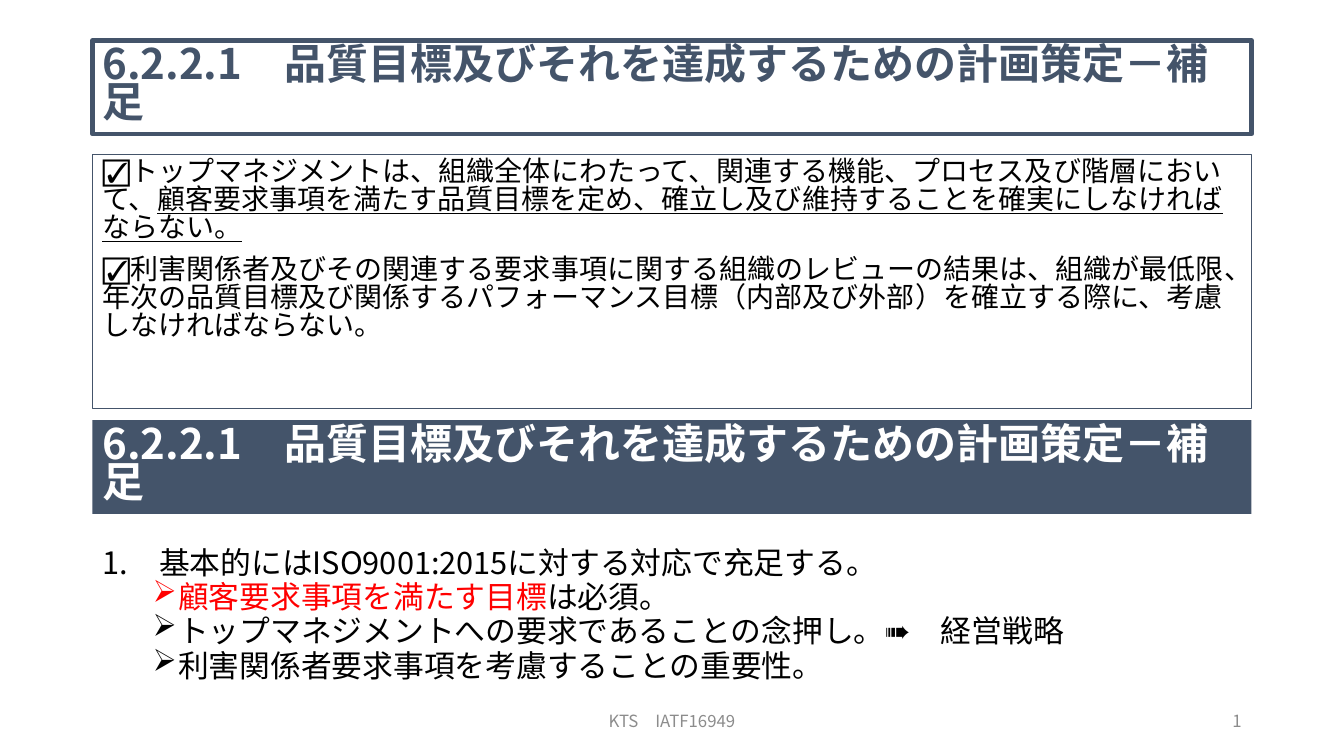
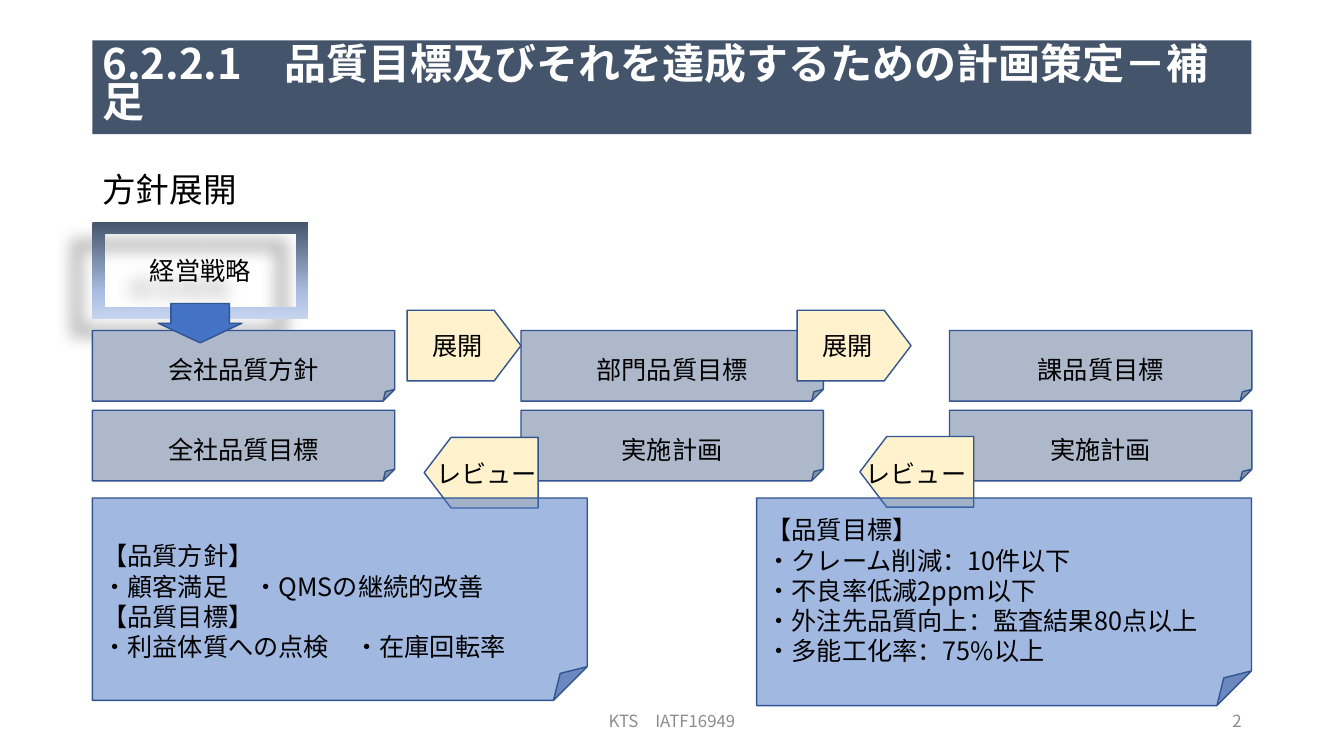
from dataclasses import dataclass
from typing import Any, NamedTuple, Optional

import lxml.etree
import pptx
import pptx.dml.color
import pptx.enum.shapes
import pptx.enum.text
import pptx.oxml.ns
import pptx.util

Cm = pptx.util.Cm
Pt = pptx.util.Pt
RGB = pptx.dml.color.RGBColor
Shape = pptx.enum.shapes.MSO_SHAPE
Align = pptx.enum.text.PP_ALIGN
Anchor = pptx.enum.text.MSO_ANCHOR
qn = pptx.oxml.ns.qn

FONT = "Noto Sans CJK JP"
BLACK = RGB(0x00, 0x00, 0x00)
WHITE = RGB(0xFF, 0xFF, 0xFF)
GREY = RGB(0x8C, 0x8C, 0x8C)
RED = RGB(0xFF, 0x00, 0x00)
SLATE = RGB(0x44, 0x54, 0x6A)
MIST = RGB(0xAD, 0xB9, 0xCA)
CREAM = RGB(0xFF, 0xF2, 0xCC)
BLUE = RGB(0x44, 0x72, 0xC4)
NAVY = RGB(0x32, 0x54, 0x91)
FADE = ((0, RGB(0xF6, 0xF8, 0xFC)), (0, SLATE),
        (74, RGB(0xAB, 0xC0, 0xE4)), (100, RGB(0xC7, 0xD5, 0xED)))

LEFT, WIDE = 2.33, 29.21
TITLE = "6.2.2.1\u3000品質目標及びそれを達成するための計画策定－補足".replace("\u3000", "　")
FOOTER = "KTS　IATF16949"


class Box(NamedTuple):
    left: float
    top: float
    width: float
    height: float

    def emu(self) -> list[int]:
        return [Cm(side) for side in self]


class Run(NamedTuple):
    text: str
    color: RGB = BLACK
    under: bool = False


@dataclass
class Para:
    runs: list[Run]
    before: float = 0
    bullet: Optional[tuple[str, str, str]] = None
    margin: float = 0
    indent: float = 0
    level: int = 0


@dataclass
class Style:
    size: float = 18
    bold: bool = False
    align: Any = Align.CENTER
    anchor: Any = Anchor.MIDDLE
    space: Optional[float] = None


@dataclass
class Look:
    fill: Optional[RGB] = None
    line: Optional[RGB] = NAVY
    weight: float = 1
    alpha: int = 100


LABEL = Style()
BASE = Style(anchor=Anchor.BOTTOM)
NOTE = Style(align=Align.LEFT, anchor=Anchor.BOTTOM)
HEAD = Style(30, True, Align.LEFT, space=0.76)
BODY = Style(20, align=Align.LEFT, anchor=Anchor.TOP, space=0.83)
LIST = Style(22, align=Align.LEFT, anchor=Anchor.TOP, space=0.74)
LEAD = Style(24, align=Align.LEFT, anchor=Anchor.TOP, space=0.9)

OPEN = Look(WHITE, SLATE, 3)
SOLID = Look(SLATE, None)


def node(parent: Any, tag: str, **attrs: Any) -> Any:
    """Append a drawing element with the given attributes."""
    return lxml.etree.SubElement(
        parent, qn(tag), {key: str(val) for key, val in attrs.items()})


def lines(*texts: str, color: RGB = BLACK) -> list[Para]:
    return [Para([Run(text, color)]) for text in texts]


def write(shape: Any, paras: list[Para], style: Style) -> None:
    frame = shape.text_frame
    frame.word_wrap = True
    frame.vertical_anchor = style.anchor
    for index, item in enumerate(paras):
        para = frame.add_paragraph() if index else frame.paragraphs[0]
        props = para._p.get_or_add_pPr()
        if item.bullet:
            tag, key, value = item.bullet
            node(props, tag, **{key: value})
            props.set("marL", str(Cm(item.margin)))
            props.set("indent", str(Cm(item.indent)))
        para.level = item.level
        para.alignment = style.align
        if style.space:
            para.line_spacing = style.space
        if item.before:
            para.space_before = Pt(item.before)
        for part in item.runs:
            run = para.add_run()
            run.text = part.text
            font = run.font
            font.name, font.size, font.bold = FONT, Pt(style.size), style.bold
            font.color.rgb = part.color
            if part.under:
                font.underline = True
            node(run._r.get_or_add_rPr(), "a:ea", typeface=FONT)


def label(slide: Any, box: Box, paras: list[Para], style: Style) -> None:
    write(slide.shapes.add_textbox(*box.emu()), paras, style)


def draw(slide: Any, kind: Any, box: Box, look: Look,
         paras: Optional[list[Para]] = None, style: Style = LABEL) -> Any:
    shape = slide.shapes.add_shape(kind, *box.emu())
    shape.shadow.inherit = False
    if look.fill is None:
        shape.fill.background()
    else:
        shape.fill.solid()
        shape.fill.fore_color.rgb = look.fill
    if look.alpha < 100:
        color = shape._element.spPr.find(".//" + qn("a:srgbClr"))
        node(color, "a:alpha", val=look.alpha * 1000)
    if look.line is None:
        shape.line.fill.background()
    else:
        shape.line.color.rgb = look.line
        shape.line.width = Pt(look.weight)
    if paras:
        write(shape, paras, style)
    return shape


def title(slide: Any, top: float, look: Look, color: RGB) -> None:
    draw(slide, Shape.RECTANGLE, Box(LEFT, top, WIDE, 2.36), look,
         lines(TITLE, color=color), HEAD)


def start(deck: Any, look: Look, color: RGB) -> Any:
    """Add a slide with its footer, number and title."""
    slide = deck.slides.add_slide(deck.slide_layouts[6])
    label(slide, Box(11.22, 17.65, 11.43, 1.02),
          lines(FOOTER, color=GREY), Style(12))
    label(slide, Box(23.92, 17.65, 7.62, 1.02),
          lines(str(len(deck.slides)), color=GREY),
          Style(12, align=Align.RIGHT))
    title(slide, 1.02, look, color)
    return slide


def rules(deck: Any) -> None:
    slide = start(deck, OPEN, SLATE)
    draw(slide, Shape.RECTANGLE, Box(LEFT, 3.89, WIDE, 6.4),
         Look(line=SLATE), [
             Para([Run("☑トップマネジメントは、組織全体にわたって、関連する機能、"
                       "プロセス及び階層において、"),
                   Run("顧客要求事項を満たす品質目標を定め、確立し及び維持する"
                       "ことを確実にしなければならない。", under=True)]),
             Para([Run("☑利害関係者及びその関連する要求事項に関する組織の"
                       "レビューの結果は、組織が最低限、年次の品質目標及び"
                       "関係するパフォーマンス目標（内部及び外部）を確立する際に、"
                       "考慮しなければならない。")], before=10)], BODY)
    title(slide, 10.59, SOLID, WHITE)
    points = [
        [Run("顧客要求事項を満たす目標", RED), Run("は必須。")],
        [Run("トップマネジメントへの要求であることの念押し。➠　経営戦略")],
        [Run("利害関係者要求事項を考慮することの重要性。")],
    ]
    first = Para([Run("基本的にはISO9001:2015に対する対応で充足する。")],
                 bullet=("a:buAutoNum", "type", "arabicPeriod"),
                 margin=1.43, indent=-1.43)
    label(slide, Box(LEFT, 13.79, WIDE, 3.86), [first] + [
        Para(runs, 5, ("a:buChar", "char", "➢"), 1.91, -0.64, 1)
        for runs in points], LIST)


def plan(slide: Any) -> None:
    """Draw the framed strategy with its gradient and shadow."""
    shape = draw(slide, Shape.FRAME, Box(LEFT, 5.59, 5.44, 2.46),
                 Look(line=None), lines("経営戦略"))
    props = shape._element.spPr
    fade = lxml.etree.Element(qn("a:gradFill"), rotWithShape="1")
    stops = node(fade, "a:gsLst")
    for place, color in FADE:
        node(node(stops, "a:gs", pos=place * 1000), "a:srgbClr", val=color)
    node(fade, "a:lin", ang=90 * 60000, scaled=0)
    props.replace(props.find(qn("a:noFill")), fade)
    shade = node(props.find(qn("a:effectLst")), "a:outerShdw",
                 blurRad=Pt(11.8), dist=Pt(19.7), dir=141 * 60000,
                 algn="tr", rotWithShape=0)
    node(node(shade, "a:srgbClr", val=BLACK), "a:alpha", val=28000)


def flow(deck: Any) -> None:
    slide = start(deck, SOLID, WHITE)
    label(slide, Box(LEFT, 4.24, WIDE, 1.42), lines("方針展開"), LEAD)
    plan(slide)

    grid = (("会社品質方針", "部門品質目標", "課品質目標"),
            ("全社品質目標", "実施計画", "実施計画"))
    for row, names in enumerate(grid):
        for col, name in enumerate(names):
            box = Box(LEFT + col * 10.8, 8.33 + row * 2.01, 7.62, 1.78)
            draw(slide, Shape.FOLDED_CORNER, box, Look(MIST),
                 lines(name), BASE)

    for left, top, back in ((10.26, 7.82, False), (20.09, 7.82, False),
                            (10.69, 11.02, True), (21.67, 11.0, True)):
        plate = draw(slide, Shape.PENTAGON, Box(left, top, 2.87, 1.78),
                     Look(CREAM), None if back else lines("展開"))
        plate.adjustments[0] = 0.38
        if back:
            plate.rotation = 180
    for left in (10.69, 21.51):
        label(slide, Box(left, 11.32, 3.15, 1.22), lines("レビュー"), LABEL)

    arrow = draw(slide, Shape.DOWN_ARROW, Box(3.99, 7.65, 2.11, 0.99),
                 Look(BLUE))
    arrow.adjustments[0] = 0.7

    notes = (
        (LEFT, 5.1, lines("【品質方針】", "・顧客満足　・QMSの継続的改善",
                          "【品質目標】", "・利益体質への点検　・在庫回転率")),
        (19.07, 5.23, lines("【品質目標】", "・クレーム削減：10件以下",
                            "・不良率低減2ppm以下",
                            "・外注先品質向上：監査結果80点以上",
                            "・多能工化率：75%以上")),
    )
    for left, height, paras in notes:
        draw(slide, Shape.FOLDED_CORNER, Box(left, 12.55, 12.47, height),
             Look(BLUE, alpha=50), paras, NOTE)


def main() -> None:
    deck = pptx.Presentation()
    deck.slide_width, deck.slide_height = Cm(33.87), Cm(19.05)
    rules(deck)
    flow(deck)
    deck.save("out.pptx")


if __name__ == "__main__":
    main()
